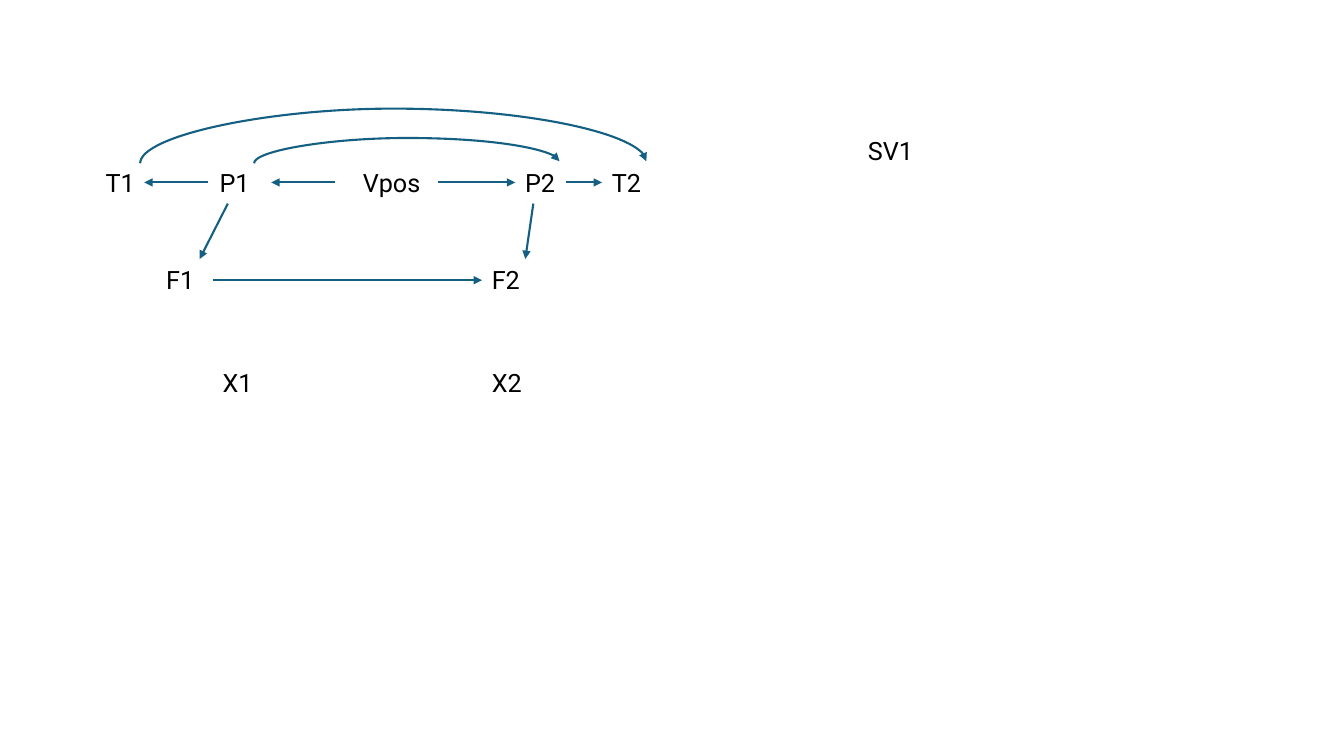
"""Builds a slide with a causal graph of labelled nodes and arrows."""
from dataclasses import dataclass

from lxml import etree
from pptx import Presentation
from pptx import util as u
from pptx.dml import color
from pptx.enum import shapes, text
from pptx.oxml import ns

INK = "000000"
BLUE = "156082"
TOP, MID, LOW = 1.61, 2.57, 3.59
AXIS = 1.81
DROP = 0.02


@dataclass
class Node:
    name: str
    left: float
    top: float
    width: float = 0.86


@dataclass
class Arrow:
    x1: float
    y1: float
    x2: float
    y2: float


@dataclass
class Arc:
    x1: float
    x2: float
    peak: float


NODES = [
    Node("SV1", 8.51, 1.29, 3.35),
    Node("T1", 0.95, TOP), Node("P1", 2.08, TOP), Node("Vpos", 3.5, TOP),
    Node("P2", 5.11, TOP), Node("T2", 5.97, TOP),
    Node("F1", 1.55, MID), Node("F2", 4.78, MID),
    Node("X1", 2.11, LOW), Node("X2", 4.78, LOW),
]
ARROWS = [
    Arrow(3.32, AXIS, 2.69, AXIS), Arrow(4.34, AXIS, 5.11, AXIS),
    Arrow(5.61, AXIS, 5.97, AXIS), Arrow(2.06, AXIS, 1.43, AXIS),
    Arrow(2.11, 2.78, 4.78, 2.78),
    Arrow(2.26, 2.02, 1.98, 2.57), Arrow(5.29, 2.02, 5.21, 2.57),
]
ARCS = [Arc(2.52, 5.55, 1.37), Arc(1.39, 6.41, 1.08)]


def paint(form, tint: str) -> None:
    form.rgb = color.RGBColor.from_string(tint)


def add_node(slide, node: Node) -> None:
    box = slide.shapes.add_textbox(
        *map(u.Inches, (node.left, node.top, node.width, 0.4)))
    frame = box.text_frame
    frame.word_wrap = True
    frame.auto_size = text.MSO_AUTO_SIZE.SHAPE_TO_FIT_TEXT
    run = frame.paragraphs[0].add_run()
    run.text = node.name
    run.font.name = "Roboto"
    run.font.size = u.Pt(18)
    paint(run.font.color, INK)


def add_arrow(slide, arrow: Arrow, kind=shapes.MSO_CONNECTOR.STRAIGHT):
    ends = map(u.Inches, (arrow.x1, arrow.y1, arrow.x2, arrow.y2))
    link = slide.shapes.add_connector(kind, *ends)
    link.line.width = u.Pt(1.5)
    paint(link.line.color, BLUE)
    tip = etree.SubElement(link.line._get_or_add_ln(), ns.qn("a:tailEnd"))
    tip.set("type", "triangle")
    etree.SubElement(link._element.spPr, ns.qn("a:effectLst"))
    return link


def add_arc(slide, arc: Arc) -> None:
    mid, half = (arc.x1 + arc.x2) / 2, (arc.x2 - arc.x1) / 2
    side = DROP / 2
    turned = Arrow(mid + side, TOP + half, mid - side, TOP - half)
    link = add_arrow(slide, turned, shapes.MSO_CONNECTOR.CURVE)
    props = link._element.spPr
    props.find(ns.qn("a:xfrm")).set("rot", str(90 * 60000))
    geom = props.find(ns.qn("a:prstGeom"))
    for old in list(geom):
        geom.remove(old)
    guide = etree.SubElement(
        etree.SubElement(geom, ns.qn("a:avLst")), ns.qn("a:gd"))
    bend = round((TOP + side - arc.peak) / DROP * 100000)
    guide.set("name", "adj1")
    guide.set("fmla", f"val {bend}")


def main() -> None:
    deck = Presentation()
    deck.slide_width, deck.slide_height = u.Inches(13.33), u.Inches(7.5)
    slide = deck.slides.add_slide(deck.slide_layouts[6])
    for node in NODES:
        add_node(slide, node)
    for arrow in ARROWS:
        add_arrow(slide, arrow)
    for arc in ARCS:
        add_arc(slide, arc)
    deck.save("out.pptx")


if __name__ == "__main__":
    main()
